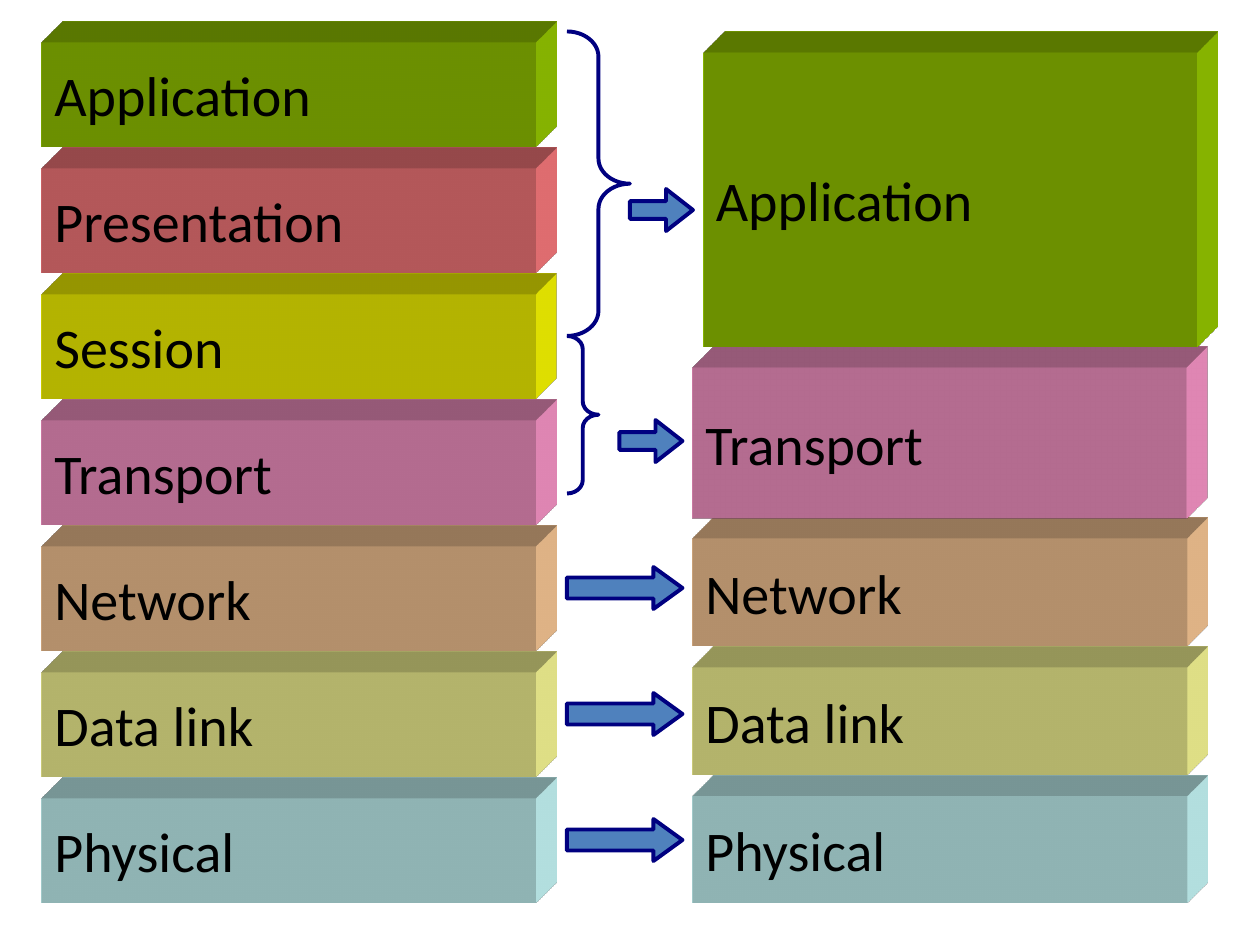
from lxml import etree
from pptx import Presentation
from pptx.dml.color import RGBColor
from pptx.enum import shapes, text
from pptx.util import Pt

HUES = {
    "Application": "99CC00", "Presentation": "FF7C80", "Session": "FFFF00",
    "Transport": "FF99CC", "Network": "FFCC99", "Data link": "FFFF99",
    "Physical": "CCFFFF", "ink": "000000", "navy": "000080", "arrow": "4F81BD",
}
DEPTH = """<r xmlns:a="http://schemas.openxmlformats.org/drawingml/2006/main">
<a:scene3d><a:camera prst="legacyObliqueTopRight"/>
<a:lightRig rig="legacyFlat3" dir="b"/></a:scene3d>
<a:sp3d extrusionH="430200" prstMaterial="legacyMatte">
<a:bevelT w="13500" h="13500" prst="angle"/>
<a:bevelB w="13500" h="13500" prst="angle"/>
<a:extrusionClr><a:srgbClr val="{}"/></a:extrusionClr></a:sp3d></r>"""
KIND = shapes.MSO_SHAPE


class Stack:
    font, size, width = "Calibri", 32, 282

    def __init__(self, slide):
        self.slide = slide

    def hue(self, name):
        return RGBColor.from_string(HUES[name])

    def add(self, home, kind, *box):
        item = home.shapes.add_shape(kind, *[Pt(n) for n in box])
        item.shadow.inherit = False
        return item

    def block(self, home, name, left, top, height):
        """Extruded layer block with its name at the left."""
        item = self.add(home, KIND.RECTANGLE, left, top, self.width, height)
        item.fill.solid()
        item.fill.fore_color.rgb = self.hue(name)
        item.line.fill.background()
        for part in list(etree.fromstring(DEPTH.format(HUES[name]))):
            item._element.spPr.append(part)
        frame = item.text_frame
        frame.text = name
        frame.word_wrap = False
        frame.vertical_anchor = text.MSO_ANCHOR.MIDDLE
        line = frame.paragraphs[0]
        line.alignment = text.PP_ALIGN.LEFT
        font = line.runs[0].font
        font.name, font.size = self.font, Pt(self.size)
        font.color.rgb = self.hue("ink")

    def mark(self, kind, box, adjs, fill=None):
        """Outlined brace or arrow."""
        item = self.add(self.slide, kind, *box)
        for i, adj in enumerate(adjs):
            item.adjustments[i] = adj
        if fill:
            item.fill.solid()
            item.fill.fore_color.rgb = self.hue(fill)
        else:
            item.fill.background()
        item.line.color.rgb = self.hue("navy")
        item.line.width = Pt(2.25)

    def brace(self, box, curl):
        self.mark(KIND.RIGHT_BRACE, box, (curl, 0.5))

    def arrow(self, left, top, width, adjs):
        self.mark(KIND.RIGHT_ARROW, (left, top, width, 24), adjs, "arrow")


def main():
    prs = Presentation()
    prs.slide_width, prs.slide_height = Pt(720), Pt(540)
    slide = prs.slides.add_slide(prs.slide_layouts[6])
    pen = Stack(slide)

    # Seven-layer stack, drawn from the bottom up
    group = slide.shapes.add_group_shape()
    names = list(HUES)[:7]
    for i, name in reversed(list(enumerate(names))):
        pen.block(group, name, 24, 24 + 72 * i, 60)

    # Five-layer stack
    for i, name in enumerate(("Physical", "Data link", "Network")):
        pen.block(slide, name, 396, 455 - 73.5 * i, 61)
    pen.block(slide, "Transport", 396, 210, 86.5)
    pen.block(slide, "Application", 402, 30, 168)

    # Braces and arrows from one stack to the other
    pen.brace((324, 18, 36, 174), 0.4)
    for top in (468, 396, 324):
        pen.arrow(324, top, 66, (0.5, 0.69))
    pen.arrow(354, 240, 36, (0.42, 0.64))
    pen.brace((324, 192, 18, 90), 0.42)
    pen.arrow(360, 108, 36, (0.42, 0.64))

    prs.save("out.pptx")


if __name__ == "__main__":
    main()
